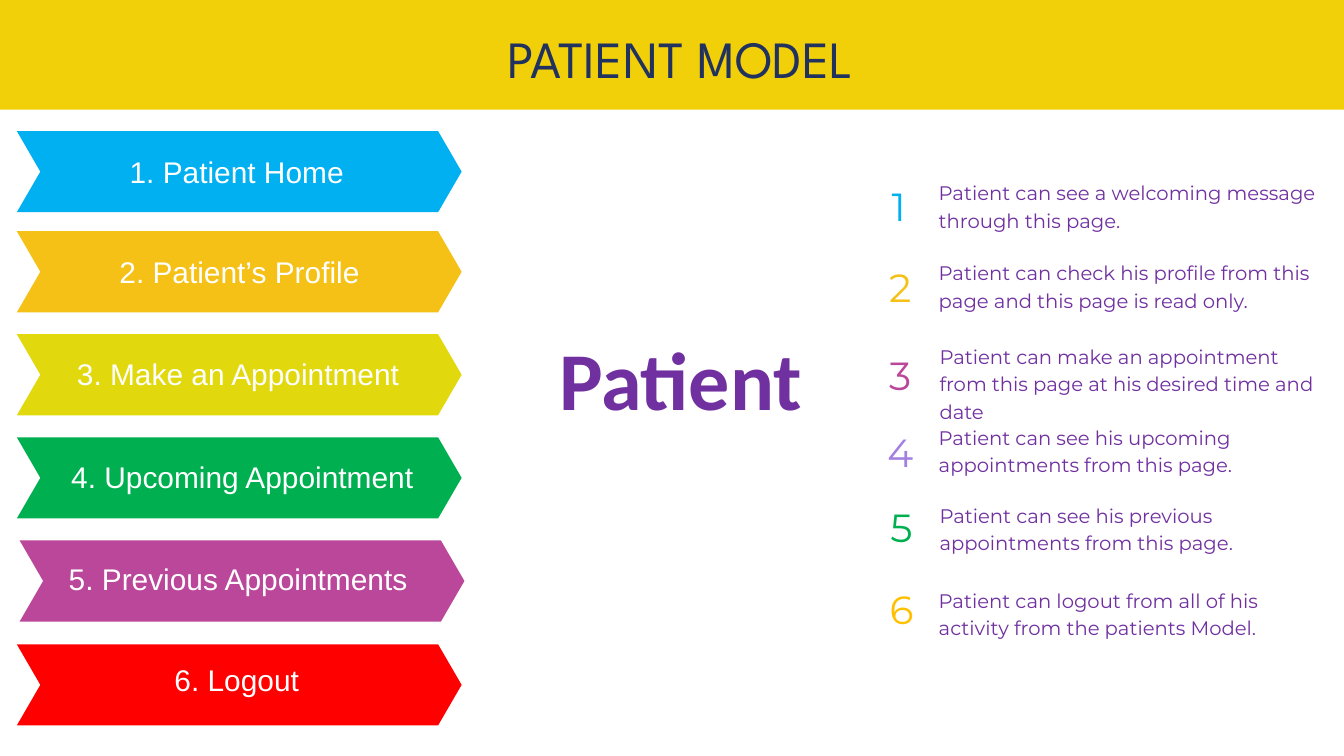
from pptx import Presentation
from pptx.dml.color import RGBColor
from pptx.enum import shapes, text
from pptx.util import Pt

THEME = {
    "band": "F1D00A",
    "blue": "00B0F0", "amber": "F5C116", "lime": "E2D80E", "green": "00B050",
    "magenta": "BA479A", "red": "FF0000", "lilac": "A27FE0", "gold": "FFC000",
    "title": dict(name="League Spartan", size=56, color="21325E", spacing=56),
    "centre": dict(name="Calibri", size=88, color="7030A0", bold=True, spacing=56),
    "label": dict(name="Arial", size=32, color="FFFFFF", spacing=27.4),
    "number": dict(name="Montserrat", size=42, spacing=52.1),
    "description": dict(name="Montserrat", size=21, color="7030A0", spacing=29.4),
}

CENTRE, LEFT = text.PP_ALIGN.CENTER, text.PP_ALIGN.LEFT

# label, label left, label top, chevron left, chevron top, colour
PAGES = [
    ("1. Patient Home", 46, 175.7, 18, 140.4, "blue"),
    ("2. Patient’s Profile", 49, 283, 18, 247.7, "amber"),
    ("3. Make an Appointment", 47.5, 391.7, 18, 358, "lime"),
    ("4. Upcoming Appointment", 52, 502.6, 18, 468.5, "green"),
    ("5. Previous Appointments", 47.5, 611.3, 21, 579, "magenta"),
    ("6. Logout", 46, 720, 18, 690.3, "red"),
]

# description, left, top, number left, number top, number colour
NOTES = [
    ("Patient can see a welcoming message through this page.",
     1005.8, 190, 922.3, 193.7, "blue"),
    ("Patient can check his profile from this page and this page is read only.",
     1005.8, 275.8, 923.8, 280.8, "amber"),
    ("Patient can make an appointment from this page at his desired time and date",
     1006.6, 365, 923.8, 374.4, "magenta"),
    ("Patient can see his upcoming appointments from this page.",
     1005.8, 452, 923.8, 457.2, "lilac"),
    ("Patient can see his previous appointments from this page.",
     1006.6, 535.7, 925.2, 537.1, "green"),
    ("Patient can logout from all of his activity from the patients Model.",
     1005.8, 626.4, 925.2, 625, "gold"),
]


def write(holder, wording, style, align, color=None):
    """Fill a text holder with one unpadded paragraph in a theme style."""
    frame = holder.text_frame
    frame_format = dict(
        margin_left=0, margin_top=0, margin_right=0, margin_bottom=0,
        word_wrap=True, vertical_anchor=text.MSO_ANCHOR.TOP,
        auto_size=text.MSO_AUTO_SIZE.SHAPE_TO_FIT_TEXT)
    for key, value in frame_format.items():
        setattr(frame, key, value)
    look = THEME[style]
    paragraph = frame.paragraphs[0]
    paragraph.alignment = align
    paragraph.line_spacing = Pt(look["spacing"])
    run = paragraph.add_run()
    run.text = wording
    font_format = dict(name=look["name"], size=Pt(look["size"]),
                       bold=look.get("bold", False))
    for key, value in font_format.items():
        setattr(run.font, key, value)
    run.font.color.rgb = RGBColor.from_string(color or look["color"])


def add_block(preset, left, top, width, height, color):
    block = slide.shapes.add_shape(preset, Pt(left), Pt(top), Pt(width), Pt(height))
    block.shadow.inherit = False
    block.fill.solid()
    block.fill.fore_color.rgb = RGBColor.from_string(THEME[color])
    block.line.fill.background()
    return block


deck = Presentation()
deck.slide_width, deck.slide_height = Pt(1440), Pt(810)
slide = deck.slides.add_slide(deck.slide_layouts[5])

# Header: the band goes behind the title
title = slide.shapes.title
band = add_block(shapes.MSO_SHAPE.RECTANGLE, 0, 0, 1440, 117.5, "band")
title._element.addprevious(band._element)
title_place = dict(left=232.5, top=39, width=993.5, height=59)
for side, length in title_place.items():
    setattr(title, side, Pt(length))
write(title, "PATIENT MODEL", "title", CENTRE)

# Left: one chevron per page
for label, label_left, label_top, left, top, color in PAGES:
    chevron = add_block(shapes.MSO_SHAPE.CHEVRON, left, top, 476.6, 87, color)
    chevron.adjustments[0] = 0.29
    caption = slide.shapes.add_textbox(Pt(label_left), Pt(label_top), Pt(415.5), Pt(28))
    write(caption, label, "label", CENTRE)

# Middle
role = slide.shapes.add_textbox(Pt(232.5), Pt(401.8), Pt(993.5), Pt(63))
write(role, "Patient", "centre", CENTRE)

# Right: numbered descriptions
for order, (wording, left, top, number_left, number_top, color) in enumerate(NOTES, 1):
    number = slide.shapes.add_textbox(Pt(number_left), Pt(number_top), Pt(81.4), Pt(52))
    write(number, str(order), "number", CENTRE, THEME[color])
    description = slide.shapes.add_textbox(Pt(left), Pt(top), Pt(406), Pt(59))
    write(description, wording, "description", LEFT)

deck.save("out.pptx")
